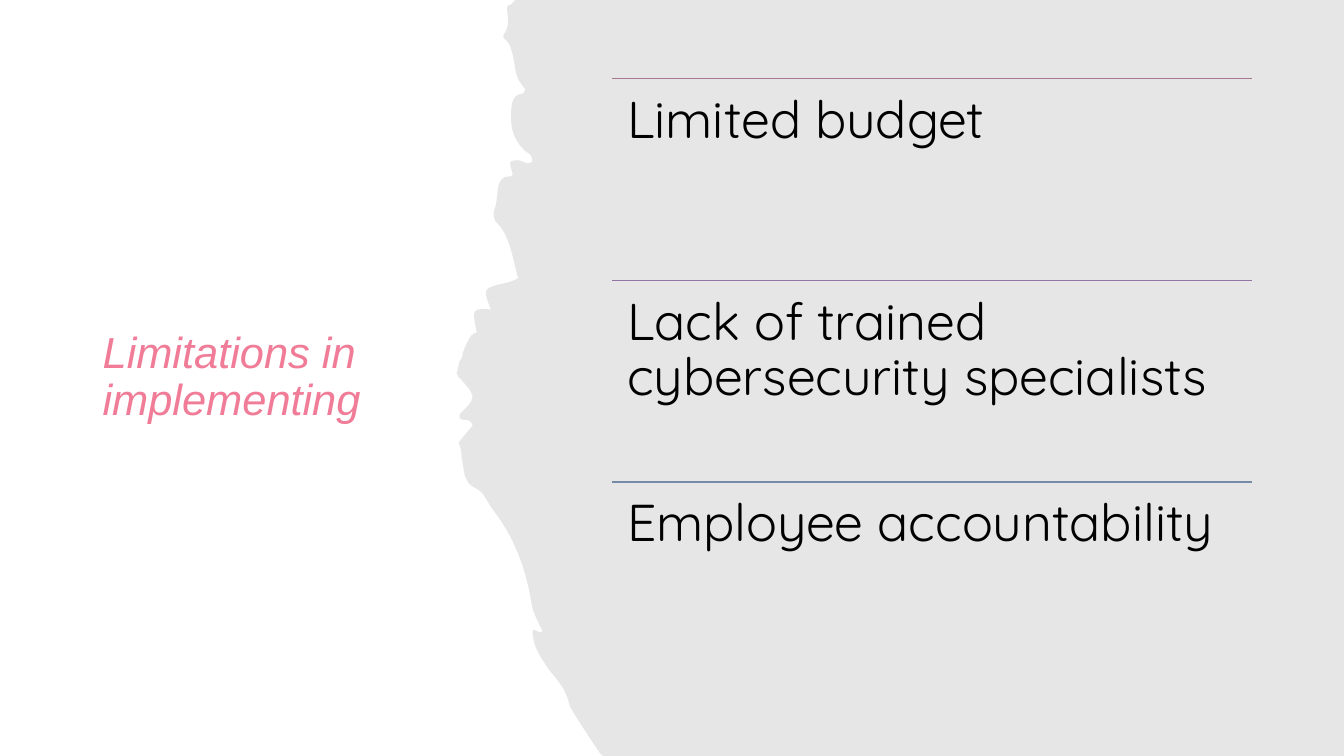
from pptx import Presentation, util as u
from pptx.dml.color import RGBColor
from pptx.enum import shapes, text
from pptx.oxml.ns import qn
from lxml import etree

# Colours
PINK = RGBColor(0xF0, 0x7C, 0x98)
GREY = RGBColor(0xE7, 0xE6, 0xE6)
WHITE = RGBColor(0xFF, 0xFF, 0xFF)
BLACK = RGBColor(0x00, 0x00, 0x00)
MAUVE = RGBColor(0xA6, 0x77, 0x8D)
VIOLET = RGBColor(0x90, 0x77, 0xA6)
STEEL = RGBColor(0x76, 0x8B, 0xA6)

# Content: each limitation with the colour of the rule above it
TITLE = "Limitations in implementing"
LIMITATIONS = [
    ("Limited budget", MAUVE),
    ("Lack of trained cybersecurity specialists", VIOLET),
    ("Employee accountability", STEEL),
]

# Text styles; inset is (sides, top and bottom) in inches
TITLE_STYLE = dict(font="Arial", size=31, color=PINK, italic=True,
                   inset=(0.1, 0.05), anchor=text.MSO_ANCHOR.MIDDLE)
ITEM_STYLE = dict(font="Quicksand", size=37, color=BLACK, italic=False,
                  inset=(0.15, 0.15), anchor=text.MSO_ANCHOR.TOP)

# Layout in inches
WIDTH, HEIGHT = 13.33, 7.5
TITLE_BOX = (0.92, 0.78, 3.5, 5.94)
LIST_LEFT, LIST_TOP, LIST_WIDTH, ROW_HEIGHT = 6.07, 0.78, 6.35, 2.0

# Torn edge from bottom to top, in inches.
# (x, y) is a straight step; (x1, y1, x2, y2, x, y) is a Bezier curve to (x, y).
TORN_EDGE = [
    # lower slope
    (5.98, 7.5), (5.95, 7.47),
    (5.76, 7.19, 5.65, 7.01, 5.65, 7), (5.62, 6.84, 5.53, 6.75, 5.45, 6.65),
    (5.39, 6.56, 5.31, 6.46, 5.29, 6.33), (5.25, 6.16, 5.36, 6.32, 5.38, 6.26),
    (5.34, 6.17, 5.28, 6.07, 5.27, 5.97), (5.21, 5.61, 5.09, 5.32, 4.9, 5.07),
    (4.84, 5, 4.81, 4.89, 4.73, 4.85), (4.69, 4.83, 4.66, 4.81, 4.64, 4.78),
    # bulge at the middle
    (4.61, 4.72), (4.58, 4.54), (4.58, 4.5, 4.57, 4.45, 4.56, 4.42),
    (4.55, 4.39), (4.69, 4.22), (4.65, 4.13, 4.6, 4.19, 4.56, 4.15),
    (4.56, 4.11), (4.62, 4.05), (4.72, 3.94, 4.71, 3.92, 4.57, 3.76),
    (4.55, 3.75, 4.54, 3.73, 4.54, 3.72), (4.53, 3.71), (4.56, 3.58),
    (4.58, 3.56, 4.59, 3.54, 4.59, 3.5), (4.6, 3.48),
    (4.64, 3.37, 4.68, 3.3, 4.73, 3.3), (4.68, 3.06, 4.68, 3.06, 4.87, 3.07),
    # upper notches
    (4.8, 2.9, 4.8, 2.87, 4.89, 2.84), (4.97, 2.81, 5.06, 2.81, 5.14, 2.76),
    (5.08, 2.55, 5.06, 2.33, 4.92, 2.2), (4.9, 2.18, 4.89, 2.12, 4.9, 2.09),
    (4.96, 1.98, 4.89, 1.74, 5.06, 1.75), (5.08, 1.75, 5.09, 1.74, 5.08, 1.7),
    (5.03, 1.57, 5.09, 1.6, 5.13, 1.59), (5.18, 1.59, 5.24, 1.65, 5.28, 1.6),
    (5.28, 1.53, 5.24, 1.52, 5.21, 1.5), (5.13, 1.42, 5.07, 1.33, 5.07, 1.18),
    (5.07, 1.05, 5.07, 0.94, 5.18, 0.93), (5.19, 0.93, 5.2, 0.91, 5.21, 0.89),
    # top
    (5.2, 0.87, 5.18, 0.85, 5.17, 0.83), (5.12, 0.77, 5.11, 0.69, 5.1, 0.61),
    (5.09, 0.56, 5.08, 0.51, 5.06, 0.46), (5.05, 0.43, 5.03, 0.41, 5.01, 0.39),
    (4.99, 0.38, 4.99, 0.36, 5, 0.34), (5.04, 0.28, 5.05, 0.21, 5.03, 0.11),
    (5.03, 0.08, 5.03, 0.06, 5.05, 0.05), (5.07, 0.05, 5.08, 0.04, 5.09, 0.02),
    (5.11, 0),
]
CURVE_STEPS = 8
UNITS_PER_INCH = 1000  # the freeform builder rounds to whole units


def bezier(start, control1, control2, end, t):
    """Point at share t of a cubic Bezier curve."""
    v = 1 - t
    return tuple(v**3 * a + 3 * v**2 * t * b + 3 * v * t**2 * c + t**3 * d
                 for a, b, c, d in zip(start, control1, control2, end))


def trace(edge):
    """Turn straight steps and curves into one list of points."""
    points = []
    for step in edge:
        if len(step) == 2:
            points.append(step)
        else:
            curve = (points[-1], step[:2], step[2:4], step[4:])
            points += [bezier(*curve, i / CURVE_STEPS) for i in range(1, CURVE_STEPS + 1)]
    return points


def paint(sp, color):
    sp.shadow.inherit = False
    sp.fill.solid()
    sp.fill.fore_color.rgb = color
    sp.line.fill.background()


def add_outline(s, points, color):
    units = [(x * UNITS_PER_INCH, y * UNITS_PER_INCH) for x, y in points]
    builder = s.shapes.build_freeform(*units[0], scale=u.Inches(1) / UNITS_PER_INCH)
    builder.add_line_segments(units[1:], close=True)
    paint(builder.convert_to_shape(), color)


def add_text(s, box, words, style):
    tf = s.shapes.add_textbox(*map(u.Inches, box)).text_frame
    tf.word_wrap = True
    tf.vertical_anchor = style["anchor"]
    sides, ends = map(u.Inches, style["inset"])
    tf.margin_left = tf.margin_right = sides
    tf.margin_top = tf.margin_bottom = ends
    tf.text = words
    p = tf.paragraphs[0]
    p.line_spacing = 0.9
    r = p.runs[0]
    r.font.name, r.font.size = style["font"], u.Pt(style["size"])
    r.font.italic = style["italic"]
    r.font.color.rgb = style["color"]


def add_rule(s, left, top, width, color):
    ends = map(u.Inches, (left, top, left + width, top))
    rule = s.shapes.add_connector(shapes.MSO_CONNECTOR.STRAIGHT, *ends)
    rule.line.color.rgb = color
    rule.line.width = u.Pt(1)
    etree.SubElement(rule._element.spPr, qn("a:effectLst"))


# Slide
prs = Presentation()
prs.slide_width, prs.slide_height = u.Inches(WIDTH), u.Inches(HEIGHT)
s = prs.slides.add_slide(prs.slide_layouts[6])
s.background.fill.solid()
s.background.fill.fore_color.rgb = GREY

# White sheet with the title
sheet = s.shapes.add_shape(shapes.MSO_SHAPE.RECTANGLE, 0, 0, prs.slide_width, prs.slide_height)
paint(sheet, WHITE)
add_text(s, TITLE_BOX, TITLE, TITLE_STYLE)

# Grey torn paper: the edge, then the two right corners of the slide
add_outline(s, trace(TORN_EDGE) + [(WIDTH, 0), (WIDTH, HEIGHT)], GREY)

# Limitations, one ruled row each
for row, (words, rule_color) in enumerate(LIMITATIONS):
    top = LIST_TOP + row * ROW_HEIGHT
    add_rule(s, LIST_LEFT, top, LIST_WIDTH, rule_color)
    add_text(s, (LIST_LEFT, top, LIST_WIDTH, ROW_HEIGHT), words, ITEM_STYLE)

prs.save("out.pptx")
